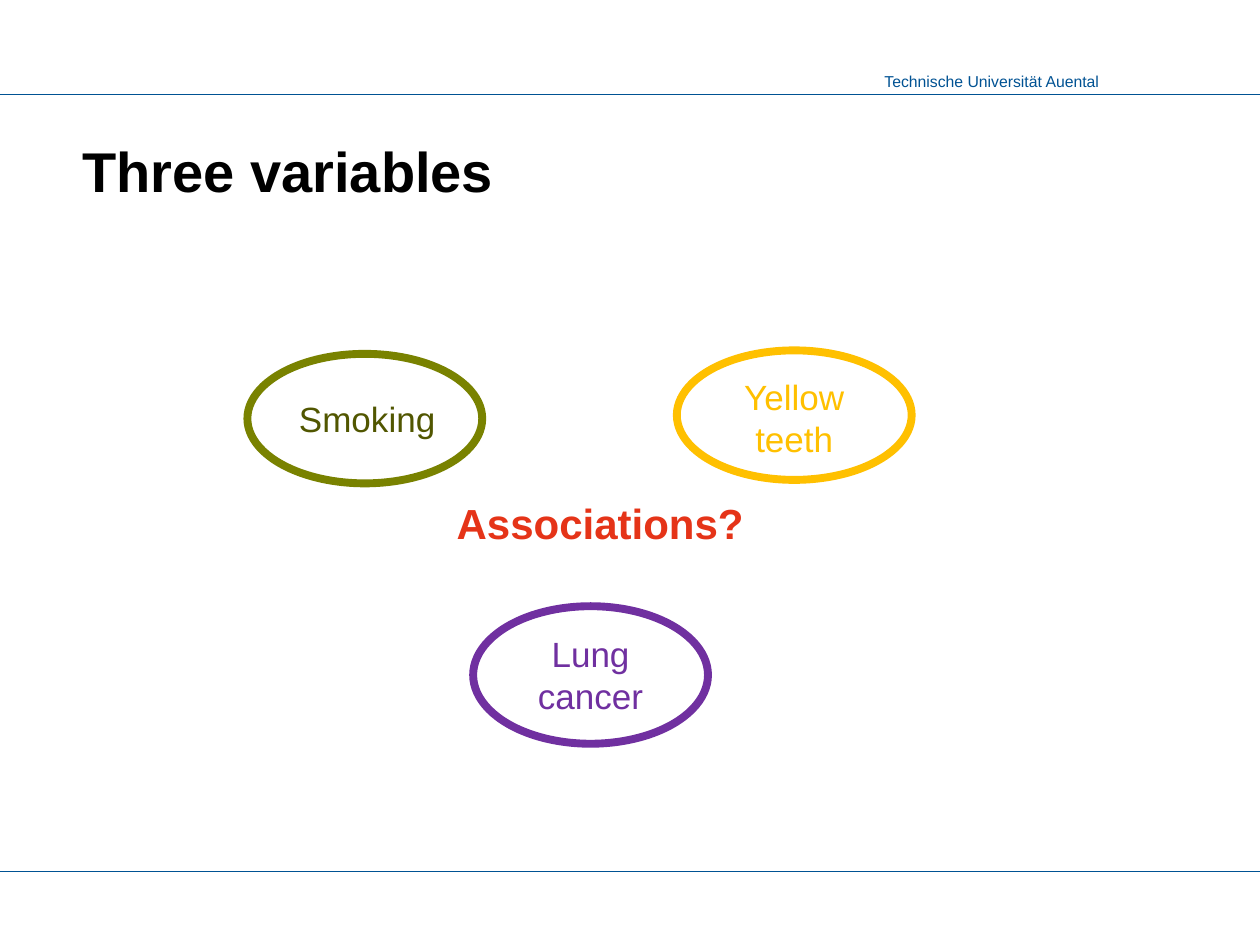
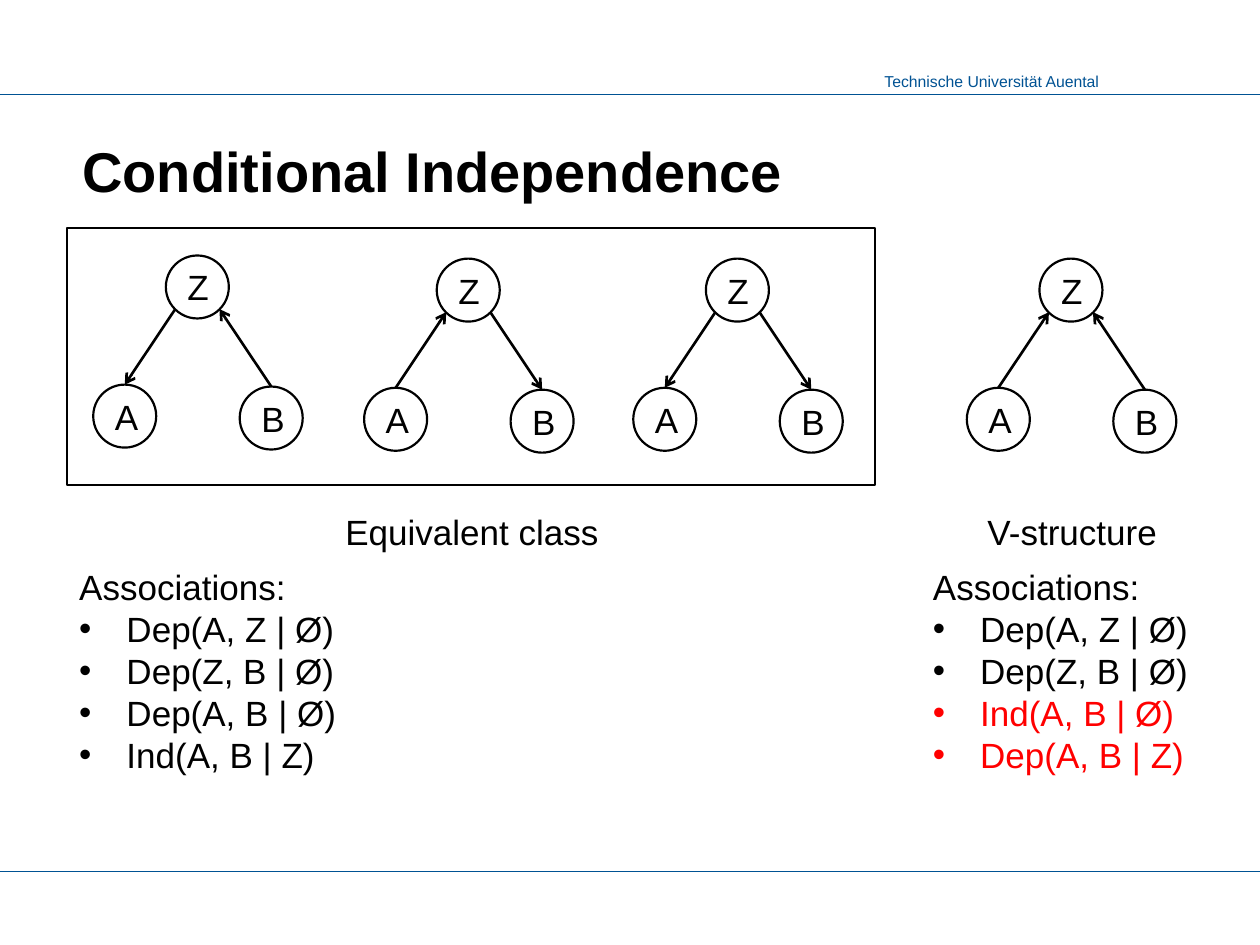
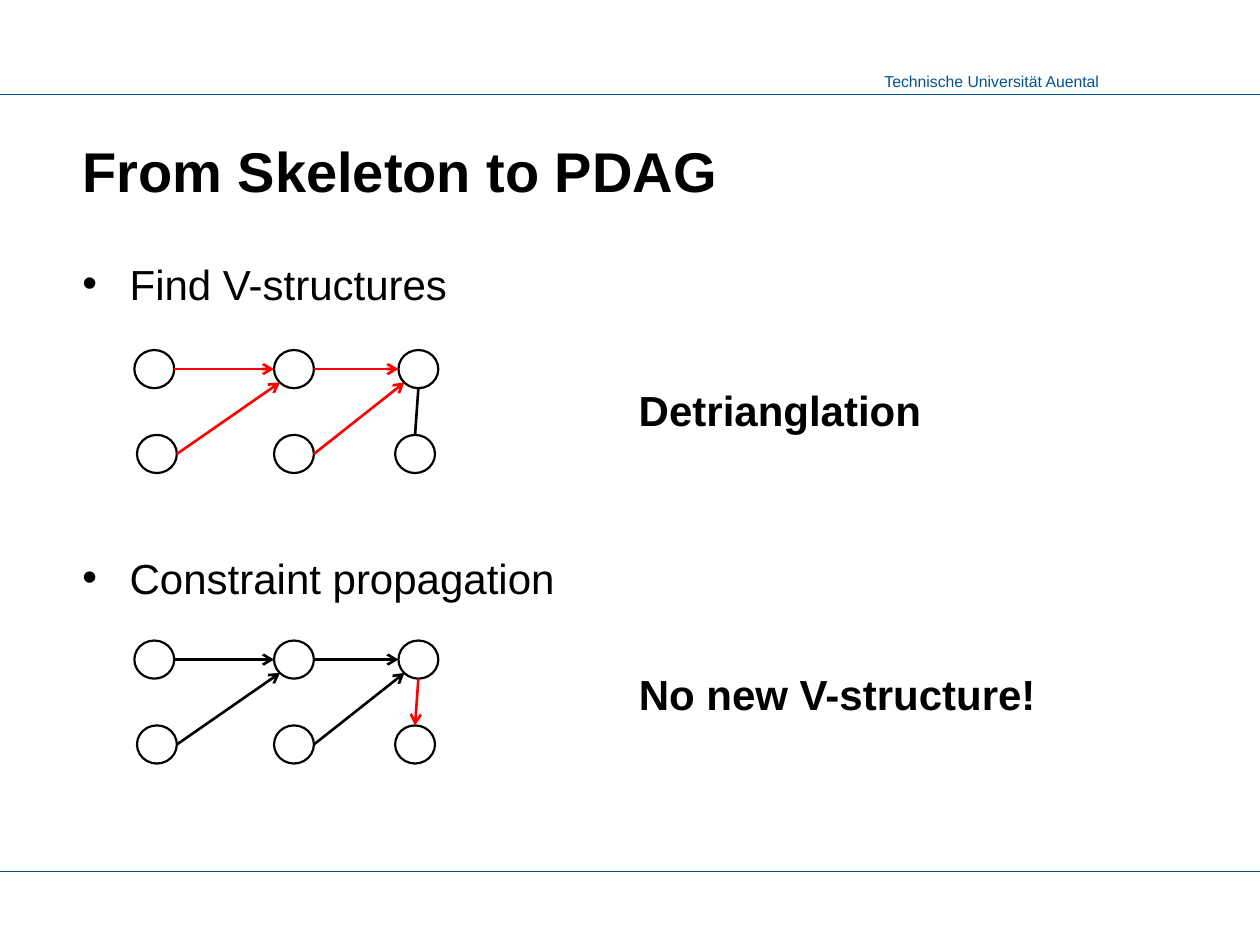
from dataclasses import dataclass

from lxml import etree
from pptx import Presentation
from pptx.dml.color import RGBColor
from pptx.enum.shapes import MSO_CONNECTOR, MSO_SHAPE
from pptx.enum.text import MSO_ANCHOR, PP_ALIGN
from pptx.oxml.ns import qn
from pptx.util import Pt

OVAL, RECTANGLE = MSO_SHAPE.OVAL, MSO_SHAPE.RECTANGLE
STRAIGHT = MSO_CONNECTOR.STRAIGHT
LEFT, CENTER, RIGHT = PP_ALIGN.LEFT, PP_ALIGN.CENTER, PP_ALIGN.RIGHT
TOP, MIDDLE, BOTTOM = MSO_ANCHOR.TOP, MSO_ANCHOR.MIDDLE, MSO_ANCHOR.BOTTOM

SITES = {
    "top": (0.5, 0),
    "left": (0, 0.5),
    "right": (1, 0.5),
    "bottom": (0.5, 1),
    "bottom left": (0.15, 0.85),
    "bottom right": (0.85, 0.85),
}


@dataclass(frozen=True)
class Theme:
    font: str = "Arial"
    black: str = "000000"
    white: str = "FFFFFF"
    blue: str = "005293"
    red: str = "FF0000"
    orange_red: str = "E53418"
    yellow: str = "FFC000"
    purple: str = "7030A0"
    olive: str = "798200"
    dark_olive: str = "515600"
    header_size: float = 9
    text_size: float = 20
    body_size: float = 24
    title_size: float = 32
    rule_width: float = 0.75
    outline_width: float = 1.25
    edge_width: float = 1.5
    concept_width: float = 4.5
    bullet_indent: float = 27


class Builder:
    def __init__(self, deck, theme):
        self.deck = deck
        self.theme = theme
        self.page = None

    def start_page(self, title):
        theme = self.theme
        self.page = self.deck.slides.add_slide(self.deck.slide_layouts[6])
        self.text((490.3, 37.4, 144.7, 18), ["Technische Universität Auental"],
                  size=theme.header_size, color=theme.blue, align=RIGHT)
        for height in (498, 54):
            self.line((0, Pt(height)), (Pt(720), Pt(height)), theme.blue, theme.rule_width)
        self.text((40, 72, 640, 48.2), [title], size=theme.title_size, bold=True, anchor=BOTTOM)

    def set_text(self, shape, lines, size, color, bold, align, anchor):
        frame = shape.text_frame
        frame.word_wrap = True
        frame.vertical_anchor = anchor
        frame.text = "\n".join(lines)
        for para in frame.paragraphs:
            para.alignment = align
            for span in para.runs:
                span.font.name = self.theme.font
                span.font.size = Pt(size)
                span.font.bold = bold
                span.font.color.rgb = RGBColor.from_string(color)

    def text(self, area, lines, size=None, color=None, bold=False, align=LEFT, anchor=TOP):
        box = self.page.shapes.add_textbox(*map(Pt, area))
        self.set_text(box, lines, size or self.theme.text_size, color or self.theme.black,
                      bold, align, anchor)
        return box

    def bullet(self, para):
        settings = para._p.get_or_add_pPr()
        settings.set("marL", str(Pt(self.theme.bullet_indent)))
        settings.set("indent", str(-Pt(self.theme.bullet_indent)))
        etree.SubElement(settings, qn("a:buFont")).set("typeface", self.theme.font)
        etree.SubElement(settings, qn("a:buChar")).set("char", "•")

    def bullet_line(self, top, heading):
        box = self.text((40, top, 640, 36), [heading], size=self.theme.body_size)
        self.bullet(box.text_frame.paragraphs[0])

    def shape(self, kind, area, label="", line=None, width=None, color=None,
              align=CENTER, anchor=MIDDLE):
        theme = self.theme
        shape = self.page.shapes.add_shape(kind, *map(Pt, area))
        shape.shadow.inherit = False
        shape.fill.solid()
        shape.fill.fore_color.rgb = RGBColor.from_string(theme.white)
        shape.line.color.rgb = RGBColor.from_string(line or theme.black)
        shape.line.width = Pt(width or theme.outline_width)
        if label:
            self.set_text(shape, [label], theme.text_size, color or theme.black,
                          False, align, anchor)
        return shape

    def line(self, start, end, color, width, arrow=False):
        line = self.page.shapes.add_connector(STRAIGHT, *map(int, start + end))
        line.line.color.rgb = RGBColor.from_string(color)
        line.line.width = Pt(width)
        settings = line._element.spPr
        if arrow:
            etree.SubElement(settings.find(qn("a:ln")), qn("a:tailEnd")).set("type", "arrow")
        etree.SubElement(settings, qn("a:effectLst"))

    def edge(self, source, source_site, target, target_site, color=None, arrow=True):
        ends = []
        for node, site in ((source, source_site), (target, target_site)):
            across, down = SITES[site]
            ends.append((node.left + node.width * across, node.top + node.height * down))
        self.line(*ends, color or self.theme.black, self.theme.edge_width, arrow)

    def association_list(self, left, width, statements, red_count=0):
        box = self.text((left, 319.7, width, 128), ["Associations:"] + statements)
        paragraphs = box.text_frame.paragraphs
        for para in paragraphs[1:]:
            self.bullet(para)
        for para in paragraphs[len(paragraphs) - red_count:]:
            for span in para.runs:
                span.font.color.rgb = RGBColor.from_string(self.theme.red)

    def triple(self, left, top, toward_a, toward_b):
        z = self.shape(OVAL, (left, top, 36, 36), "Z")
        b = self.shape(OVAL, (left + 42.2, top + 74.9, 36, 36), "B")
        a = self.shape(OVAL, (left - 41.5, top + 73.8, 36, 36), "A")
        for node, site, outward in ((a, "bottom left", toward_a), (b, "bottom right", toward_b)):
            if outward:
                self.edge(z, site, node, "top")
            else:
                self.edge(node, "top", z, site)

    def skeleton(self, top, edge_color, last_color, last_arrow):
        upper = [self.shape(OVAL, (left, top, 22.8, 21.8)) for left in (76.8, 156.6, 227.7)]
        lower = [self.shape(OVAL, (left, top + 48.5, 22.8, 21.8)) for left in (78.3, 156.6, 225.8)]
        for index in range(2):
            target = upper[index + 1]
            self.edge(upper[index], "right", target, "left", edge_color)
            self.edge(lower[index], "right", target, "bottom left", edge_color)
        self.edge(upper[2], "bottom", lower[2], "top", last_color, last_arrow)


def add_variables(builder):
    theme = builder.theme
    builder.start_page("Three variables")
    concepts = (
        ((386.8, 200.2, 134.2, 74), "Yellow teeth", theme.yellow, theme.yellow, CENTER, TOP),
        ((270.4, 346.4, 134.2, 78.6), "Lung cancer", theme.purple, theme.purple, CENTER, MIDDLE),
        ((141.4, 202.2, 134.2, 74), "Smoking", theme.olive, theme.dark_olive, RIGHT, MIDDLE),
    )
    for area, label, line, color, align, anchor in concepts:
        builder.shape(OVAL, area, label, line, theme.concept_width, color, align, anchor)
    builder.text((229, 280.8, 203, 36), ["Associations?"], size=theme.body_size,
                 color=theme.orange_red, bold=True, align=RIGHT)


def add_independence(builder):
    builder.start_page("Conditional Independence")
    builder.shape(RECTANGLE, (38.2, 130.3, 461.8, 146.9))
    triples = (
        (94.8, 146, True, False),
        (249.6, 147.8, False, True),
        (403.4, 147.8, True, True),
        (594, 147.8, False, False),
    )
    for triple in triples:
        builder.triple(*triple)
    builder.text((188.6, 288, 160.6, 31.5), ["Equivalent class"], align=RIGHT)
    builder.text((555.8, 288, 112.4, 31.5), ["V-structure"], align=RIGHT)
    shared = ["Dep(A, Z | Ø)", "Dep(Z, B | Ø)"]
    builder.association_list(38.2, 221, shared + ["Dep(A, B | Ø)", "Ind(A, B | Z)"])
    builder.association_list(526, 190, shared + ["Ind(A, B | Ø)", "Dep(A, B | Z)"], red_count=2)


def add_skeleton(builder):
    theme = builder.theme
    builder.start_page("From Skeleton to PDAG")
    builder.bullet_line(144, "Find V-structures")
    builder.bullet_line(312, "Constraint propagation")
    builder.skeleton(200, theme.red, theme.black, False)
    builder.skeleton(366, theme.black, theme.red, True)
    builder.text((302.4, 216, 231, 36), ["Detrianglation"], size=theme.body_size,
                 bold=True, align=RIGHT)
    builder.text((358, 378.5, 260, 36), ["No new V-structure!"], size=theme.body_size, bold=True)


def main():
    deck = Presentation()
    deck.slide_width, deck.slide_height = Pt(720), Pt(540)
    builder = Builder(deck, Theme())
    add_variables(builder)
    add_independence(builder)
    add_skeleton(builder)
    deck.save("out.pptx")


if __name__ == "__main__":
    main()
